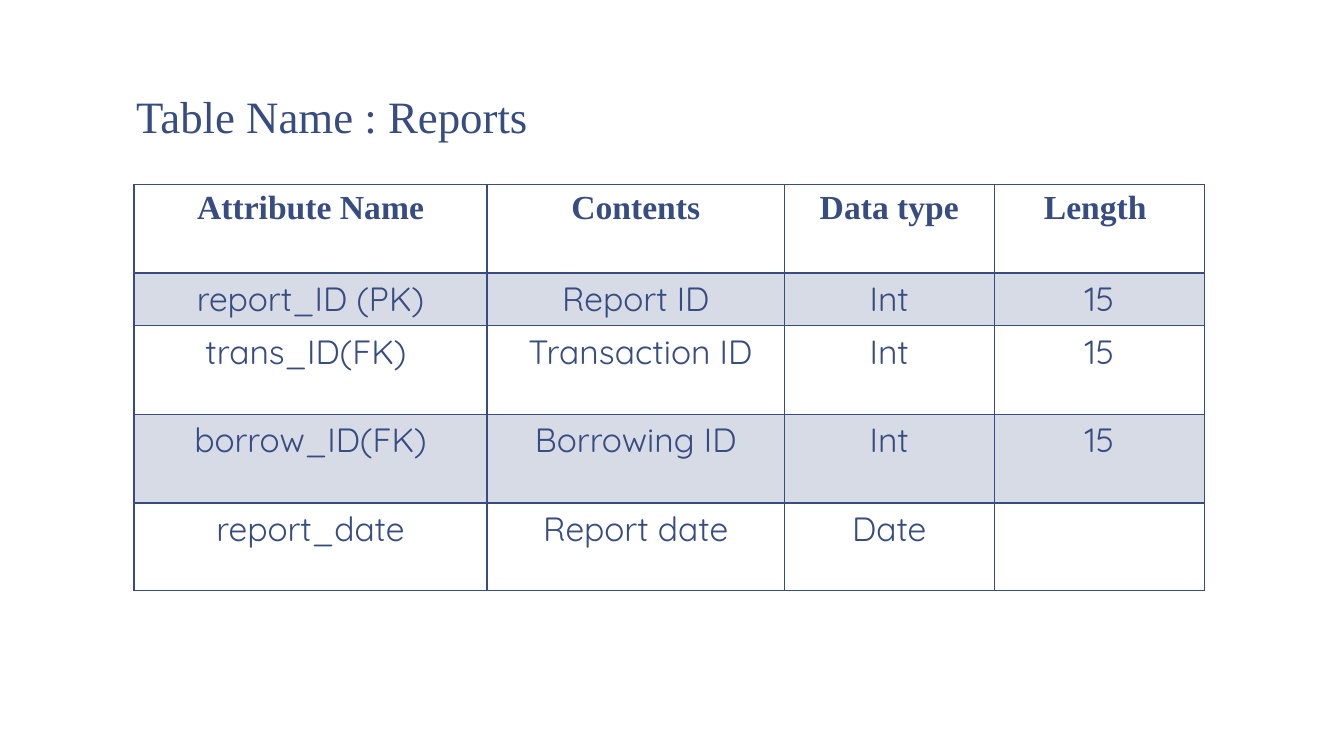
from dataclasses import dataclass

import pptx
import pptx.dml.color
import pptx.enum.text
import pptx.oxml
import pptx.oxml.ns
import pptx.util
from pptx.util import Inches


@dataclass(frozen=True)
class Theme:
    ink: str = "374C81"
    band: str = "D7DBE6"
    heading_font: str = "Times New Roman"
    body_font: str = "Quicksand"
    title_size: int = 32
    cell_size: int = 24
    thin: int = 1
    thick: int = 2


THEME = Theme()
COLUMN_WIDTHS = [3.5, 2.95, 2.08, 2.09]
ROW_HEIGHTS = [0.88, 0.52, 0.88, 0.88, 0.87]
ROWS = [
    ["Attribute Name", "Contents", "Data type", "Length "],
    ["report_ID (PK)", "Report ID", "Int", "15"],
    ["trans_ID(FK) ", " Transaction ID", "Int", "15"],
    ["borrow_ID(FK)", "Borrowing ID", "Int", "15"],
    ["report_date", "Report date", "Date", ""],
]


def style_font(font, name, size, bold=False):
    font.name = name
    font.size = pptx.util.Pt(size)
    font.bold = bold
    font.color.rgb = pptx.dml.color.RGBColor.from_string(THEME.ink)


def add_title(s, text, left, top, width, height):
    title = s.shapes.title
    title.left, title.top = Inches(left), Inches(top)
    title.width, title.height = Inches(width), Inches(height)
    tf = title.text_frame
    tf.text = text
    tf.word_wrap = False
    tf.vertical_anchor = pptx.enum.text.MSO_ANCHOR.TOP
    p = tf.paragraphs[0]
    p.alignment = pptx.enum.text.PP_ALIGN.LEFT
    style_font(p.runs[0].font, THEME.heading_font, THEME.title_size)


def set_borders(cell, top, bottom):
    """Draw all four cell edges; top and bottom are widths in points."""
    tcPr = cell._tc.get_or_add_tcPr()
    widths = {"L": THEME.thin, "R": THEME.thin, "T": top, "B": bottom}
    for side, width in widths.items():
        tcPr.append(pptx.oxml.parse_xml(
            f'<a:ln{side} {pptx.oxml.ns.nsdecls("a")} w="{pptx.util.Pt(width)}">'
            f'<a:solidFill><a:srgbClr val="{THEME.ink}"/></a:solidFill>'
            f'</a:ln{side}>'))


def fill_cell(cell, text, row):
    is_header = row == 0
    set_borders(cell,
                top=THEME.thick if row == 1 else THEME.thin,
                bottom=THEME.thick if is_header else THEME.thin)
    if row % 2:
        cell.fill.solid()
        cell.fill.fore_color.rgb = pptx.dml.color.RGBColor.from_string(THEME.band)
    else:
        cell.fill.background()
    p = cell.text_frame.paragraphs[0]
    p.text = text
    p.alignment = pptx.enum.text.PP_ALIGN.CENTER
    for r in p.runs:
        style_font(r.font, THEME.heading_font if is_header else THEME.body_font,
                   THEME.cell_size, is_header)


def add_attribute_table(s, left, top):
    frame = s.shapes.add_table(
        len(ROWS), len(COLUMN_WIDTHS), Inches(left), Inches(top),
        Inches(sum(COLUMN_WIDTHS)), Inches(sum(ROW_HEIGHTS)))
    table = frame.table
    table.first_row = table.horz_banding = False
    for column, width in zip(table.columns, COLUMN_WIDTHS):
        column.width = Inches(width)
    for i, (height, texts) in enumerate(zip(ROW_HEIGHTS, ROWS)):
        table.rows[i].height = Inches(height)
        for j, text in enumerate(texts):
            fill_cell(table.cell(i, j), text, i)


def main():
    prs = pptx.Presentation()
    prs.slide_width, prs.slide_height = Inches(13.33), Inches(7.5)
    s = prs.slides.add_slide(prs.slide_layouts.get_by_name("Title Only"))
    add_title(s, "Table Name : Reports", 1.25, 0.83, 4.12, 0.64)
    add_attribute_table(s, 1.33, 1.83)
    prs.save("out.pptx")


if __name__ == "__main__":
    main()
